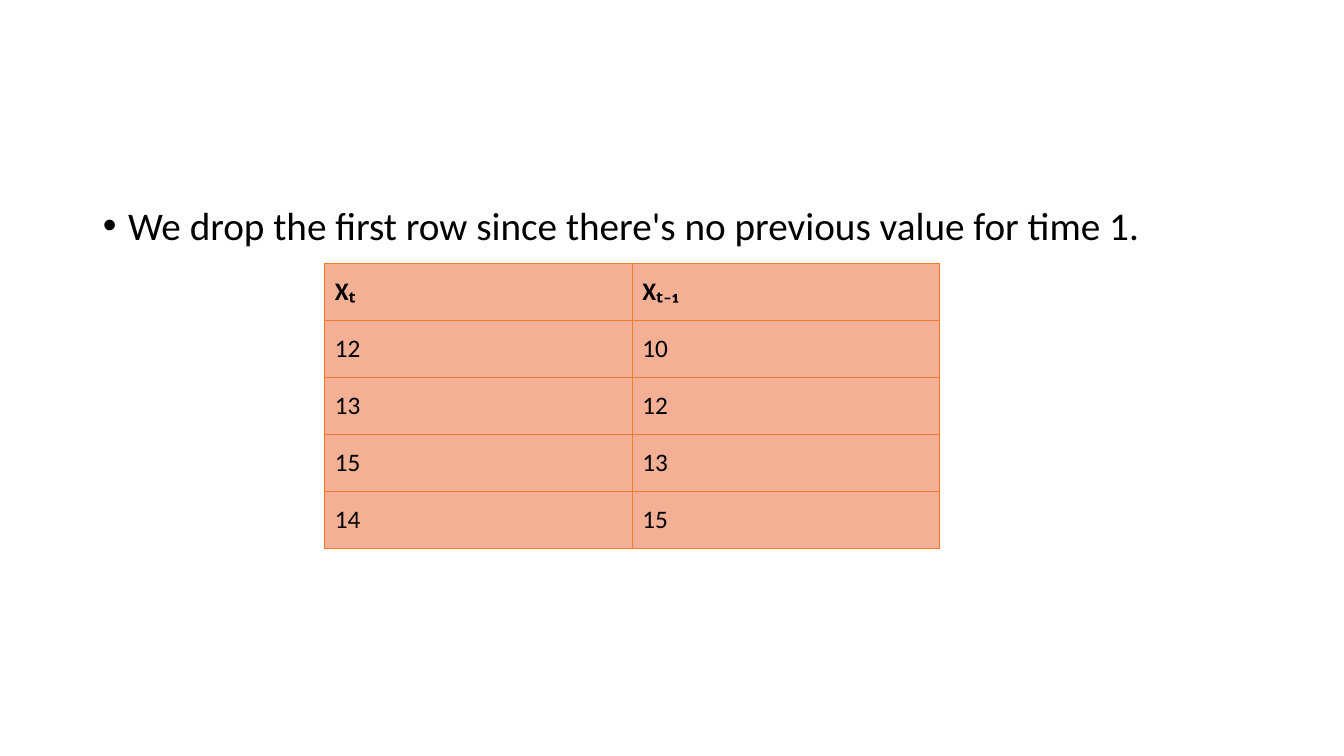
from lxml import etree
from pptx import Presentation
from pptx.dml.color import RGBColor
from pptx.enum.text import MSO_ANCHOR, MSO_AUTO_SIZE
from pptx.oxml.ns import qn
from pptx.util import Inches, Pt

MIDDLE = MSO_ANCHOR.MIDDLE
NO_FIT = MSO_AUTO_SIZE.NONE
BLACK = RGBColor(0x00, 0x00, 0x00)
PEACH = RGBColor(0xF4, 0xB0, 0x95)
ORANGE = RGBColor(0xED, 0x7D, 0x31)

POINT = "We drop the first row since there's no previous value for time 1."
LAGS = [
    ("Xₜ", "Xₜ₋₁"),
    ("12", "10"),
    ("13", "12"),
    ("15", "13"),
    ("14", "15"),
]


def style(item, values):
    for name, value in values.items():
        setattr(item, name, value)


def write(para, text, size, bold=False):
    run = para.add_run()
    run.text = text
    style(run.font, {"name": "Calibri", "size": Pt(size), "bold": bold})
    run.font.color.rgb = BLACK


def add_point(slide, text):
    """Fill the body placeholder with one bulleted line."""
    body = slide.placeholders[1]
    style(body, {"left": Inches(0.92), "top": Inches(2),
                 "width": Inches(11.5), "height": Inches(4.76)})
    style(body.text_frame, {"word_wrap": True, "auto_size": NO_FIT})
    para = body.text_frame.paragraphs[0]
    style(para, {"line_spacing": 0.9, "space_before": Pt(10)})
    props = para._p.get_or_add_pPr()
    props.set("marL", str(Inches(0.25)))
    props.set("indent", str(Inches(-0.25)))
    etree.SubElement(props, qn("a:buFont"), typeface="Arial")
    etree.SubElement(props, qn("a:buChar"), char="•")
    write(para, text, 28)


def add_edges(cell):
    """Draw thin orange borders, placed ahead of the cell fill."""
    props = cell._tc.get_or_add_tcPr()
    for index, side in enumerate(("lnL", "lnR", "lnT", "lnB")):
        line = etree.Element(qn("a:" + side), w=str(Pt(0.5)))
        fill = etree.SubElement(line, qn("a:solidFill"))
        etree.SubElement(fill, qn("a:srgbClr"), val=str(ORANGE))
        props.insert(index, line)


def add_grid(slide, rows):
    frame = slide.shapes.add_table(
        len(rows), len(rows[0]), Inches(3.22), Inches(2.61),
        Inches(6.1), Inches(2.83))
    table = frame.table
    style(table, {"first_row": True, "horz_banding": False})
    for r, row in enumerate(rows):
        for c, text in enumerate(row):
            cell = table.cell(r, c)
            cell.vertical_anchor = MIDDLE
            cell.fill.solid()
            cell.fill.fore_color.rgb = PEACH
            add_edges(cell)
            write(cell.text_frame.paragraphs[0], text, 18, bold=r == 0)


def main():
    deck = Presentation()
    style(deck, {"slide_width": Inches(13.33), "slide_height": Inches(7.5)})
    slide = deck.slides.add_slide(deck.slide_layouts[1])
    title = slide.shapes.title.element
    title.getparent().remove(title)
    add_point(slide, POINT)
    add_grid(slide, LAGS)
    deck.save("out.pptx")


if __name__ == "__main__":
    main()
